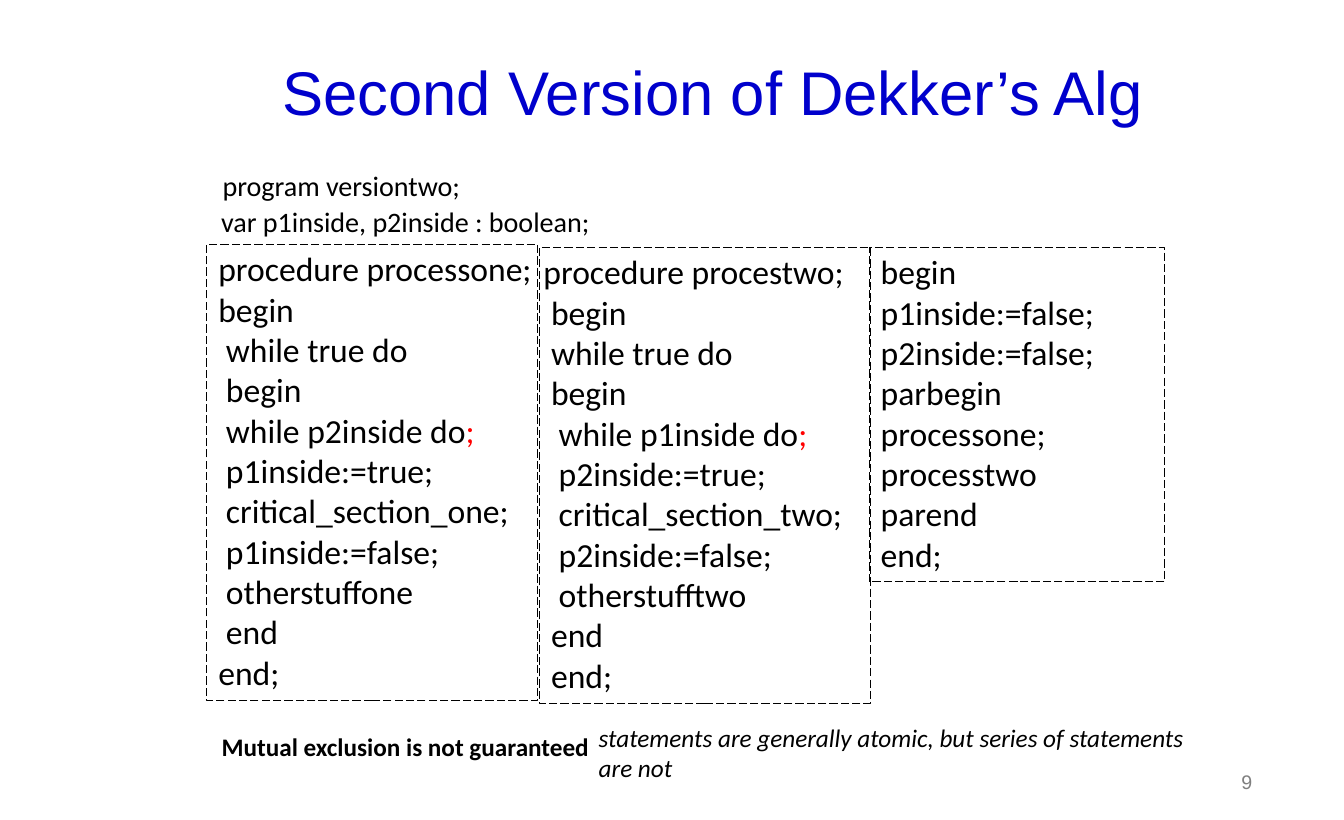
from pptx import Presentation
from pptx.dml.color import RGBColor
from pptx.enum.dml import MSO_LINE
from pptx.enum.shapes import MSO_SHAPE
from pptx.enum.text import MSO_ANCHOR, PP_ALIGN
from pptx.util import Inches, Pt

BLUE = RGBColor(0x00, 0x00, 0xCC)
BLACK = RGBColor(0x00, 0x00, 0x00)
RED = RGBColor(0xFF, 0x00, 0x00)
GRAY = RGBColor(0x7F, 0x7F, 0x7F)
DASH = MSO_LINE.LONG_DASH
RECT = MSO_SHAPE.RECTANGLE
TOP, MIDDLE = MSO_ANCHOR.TOP, MSO_ANCHOR.MIDDLE
LEFT, RIGHT = PP_ALIGN.LEFT, PP_ALIGN.RIGHT
TITLE_ONLY = 5

HEADER = [" program versiontwo;", " var p1inside, p2inside : boolean;"]
ONE = """ procedure processone;
 begin
  while true do
  begin
  while p2inside do;
  p1inside:=true;
  critical_section_one;
  p1inside:=false;
  otherstuffone
  end
 end;"""
TWO = """procedure procestwo;
 begin
 while true do
 begin
  while p1inside do;
  p2inside:=true;
  critical_section_two;
  p2inside:=false;
  otherstufftwo
 end
 end;"""
MAIN = """ begin
 p1inside:=false;
 p2inside:=false;
 parbegin
 processone;
 processtwo
 parend
 end;"""


def style(run, size, color=BLACK, face="Calibri"):
    run.font.size = Pt(size)
    run.font.name = face
    run.font.color.rgb = color


def set_frame(frame, inset, anchor=TOP):
    frame.word_wrap = True
    frame.vertical_anchor = anchor
    frame.margin_left = frame.margin_right = Inches(inset)
    frame.margin_top = frame.margin_bottom = Inches(inset)


def add_title(slide, text):
    title = slide.shapes.title
    title.left, title.top = Inches(2.8), Inches(0.61)
    title.width, title.height = Inches(9.05), Inches(0.67)
    frame = title.text_frame
    frame.text = text
    set_frame(frame, 0, MIDDLE)
    line = frame.paragraphs[0]
    line.alignment = LEFT
    line.line_spacing = 0.9
    style(line.runs[0], 44, BLUE, "Arial")


def add_text(slide, box, text):
    frame = slide.shapes.add_textbox(*map(Inches, box)).text_frame
    frame.text = text
    frame.word_wrap = True
    return frame


def add_header(slide):
    frame = add_text(slide, (2.09, 1.64, 6.47, 0.82), "")
    set_frame(frame, 0.04)
    for i, text in enumerate(HEADER):
        line = frame.add_paragraph() if i else frame.paragraphs[0]
        line.line_spacing = 0.8
        line.space_before = Pt(6 if i else 0)
        for part, size in ((text[:1], 20.1 if i else 24.8), (text[1:], 20.1)):
            run = line.add_run()
            run.text = part
            style(run, size)


def add_code(slide, box, code):
    shape = slide.shapes.add_shape(RECT, *map(Inches, box))
    shape.shadow.inherit = False
    shape.fill.background()
    shape.line.color.rgb = BLACK
    shape.line.width = Pt(0.75)
    shape.line.dash_style = DASH
    frame = shape.text_frame
    frame.text = code
    set_frame(frame, 0.04)
    for line in frame.paragraphs:
        line.alignment = LEFT
        run = line.runs[0]
        if run.text.endswith("do;"):
            run.text = run.text[:-1]
            mark = line.add_run()
            mark.text = ";"
            style(mark, 24, RED)
        style(run, 24)


def add_note(slide, box, text, bold=False, italic=False):
    run = add_text(slide, box, text).paragraphs[0].runs[0]
    style(run, 18)
    run.font.bold = bold
    run.font.italic = italic


def add_number(slide, text):
    frame = add_text(slide, (9.42, 7.54, 3, 0.43), text)
    set_frame(frame, 0, MIDDLE)
    line = frame.paragraphs[0]
    line.alignment = RIGHT
    line.line_spacing = Pt(16.4)
    style(line.runs[0], 14, GRAY, "Arial")


def main():
    deck = Presentation()
    deck.slide_width, deck.slide_height = Inches(13.33), Inches(8.13)
    slide = deck.slides.add_slide(deck.slide_layouts[TITLE_ONLY])
    add_title(slide, "Second Version of Dekker’s Alg")
    add_header(slide)
    add_code(slide, (2.05, 2.42, 3.28, 4.53), ONE)
    add_code(slide, (5.35, 2.45, 3.28, 4.53), TWO)
    add_code(slide, (8.62, 2.45, 2.93, 3.32), MAIN)
    add_note(slide, (2.1, 7.2, 3.87, 0.4),
             "Mutual exclusion is not guaranteed", bold=True)
    add_note(slide, (5.84, 7.11, 6.03, 0.71),
             "statements are generally atomic, but series of statements are not",
             italic=True)
    add_number(slide, "9")
    deck.save("out.pptx")


if __name__ == "__main__":
    main()
